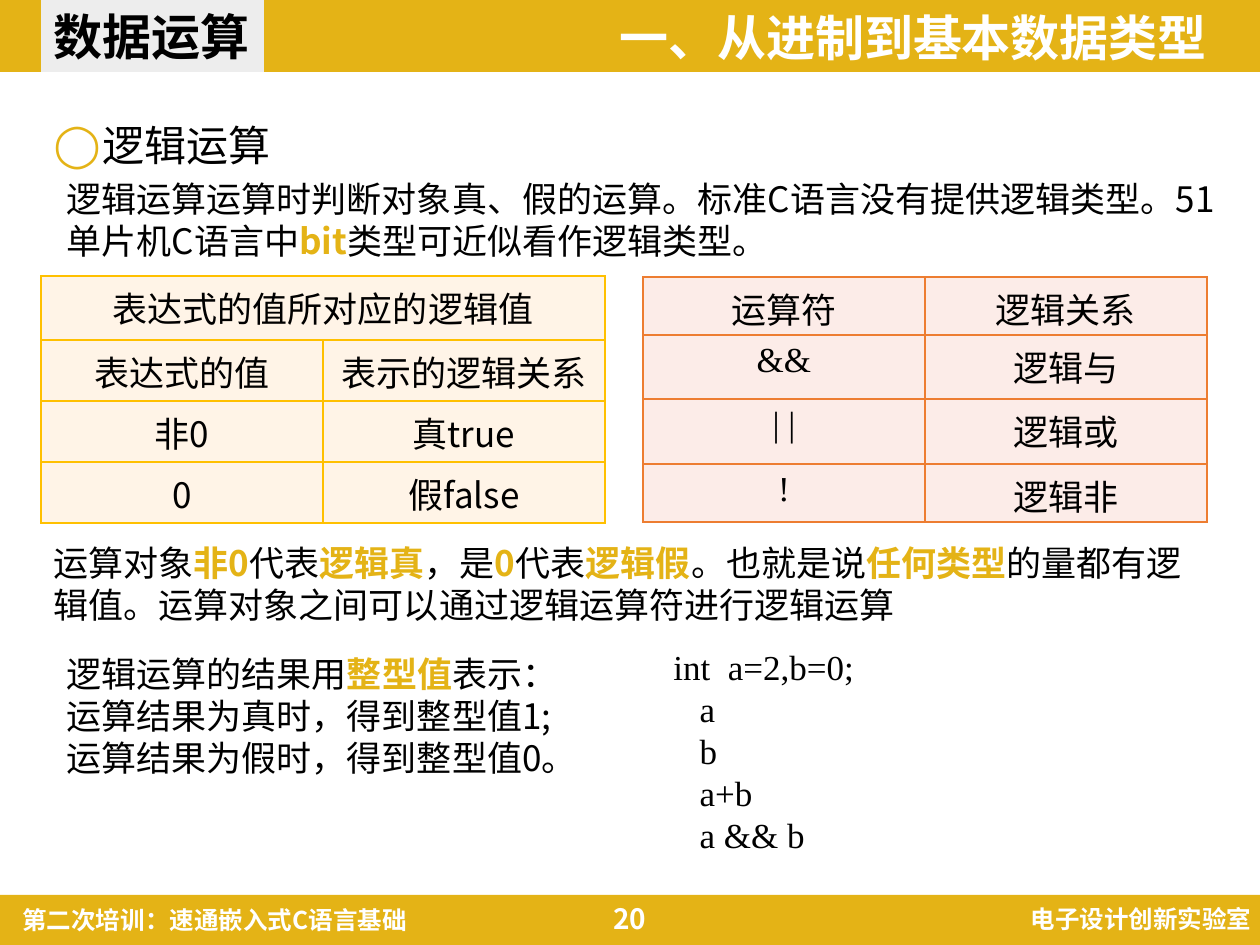
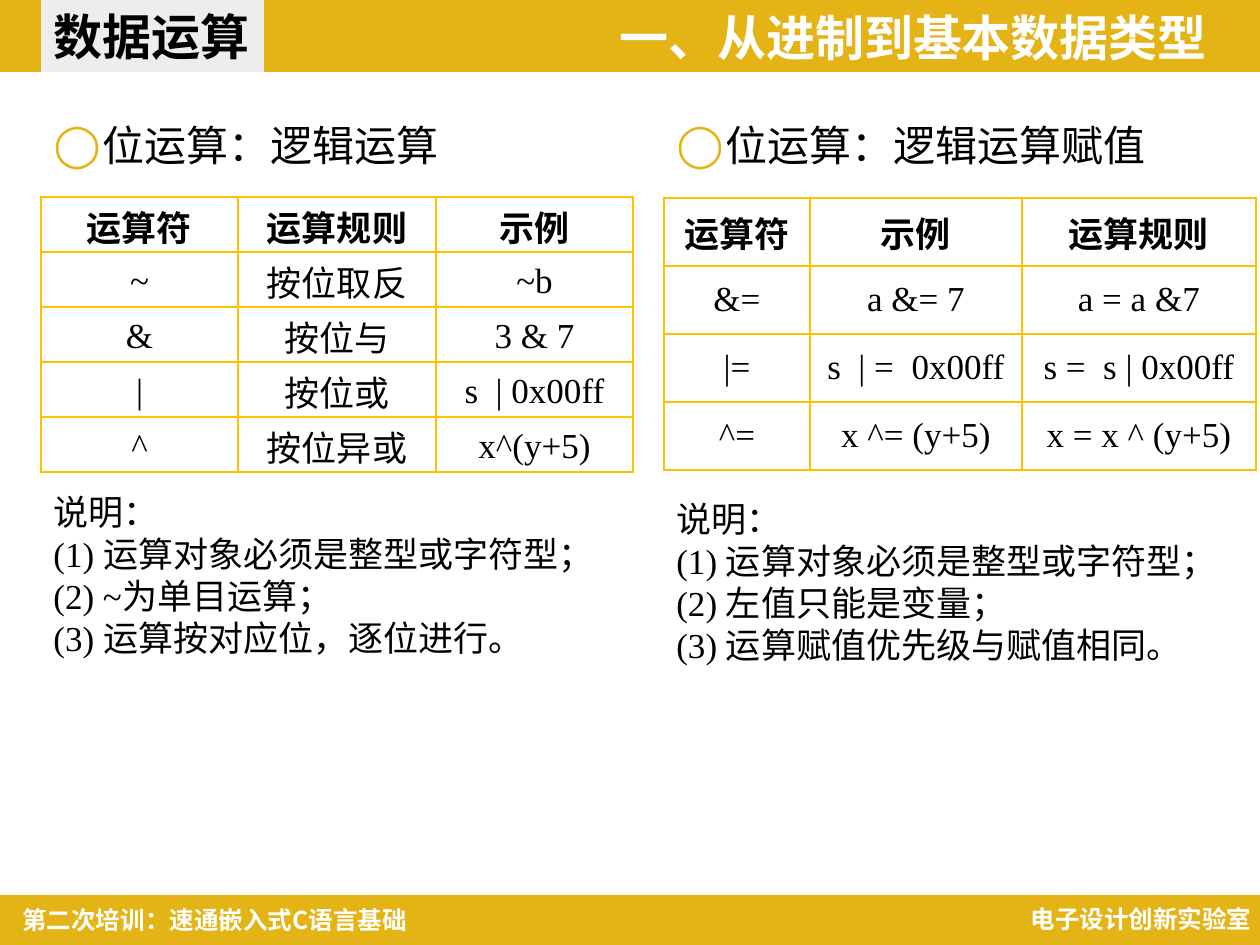
"""Builds two C language training slides on logical and bitwise operators."""
from dataclasses import dataclass
from itertools import cycle
from typing import NamedTuple

from lxml.etree import SubElement
from pptx import Presentation
from pptx.dml.color import RGBColor
from pptx.enum.shapes import MSO_SHAPE
from pptx.enum.text import MSO_ANCHOR, MSO_AUTO_SIZE, PP_ALIGN
from pptx.oxml.ns import qn
from pptx.util import Emu, Pt

COLORS = {
    "gold": "E4B316",
    "tab": "EDEDED",
    "black": "000000",
    "white": "FFFFFF",
    "amber": "FFC000",
    "cream": "FFF4E7",
    "orange": "ED7D31",
    "rose": "FCECE8",
}
SANS = "Noto Sans CJK SC"
SERIF = "Times New Roman"
EMU_PER_PX = 914400 / 126
HEADING_INDENT = 49


def px(length: int) -> Emu:
    return Emu(round(length * EMU_PER_PX))


def rgb(name: str) -> RGBColor:
    return RGBColor.from_string(COLORS[name])


class Area(NamedTuple):
    left: int
    top: int
    width: int
    height: int

    def emu(self) -> list[Emu]:
        return [px(length) for length in self]


@dataclass(frozen=True)
class TextStyle:
    size: int = 20
    font: str = SANS
    color: str = "black"
    bold: bool = False
    align: PP_ALIGN = PP_ALIGN.LEFT
    line_spacing: float | Pt | None = None


@dataclass(frozen=True)
class TextBlock:
    area: Area
    lines: list[str]
    style: TextStyle = TextStyle()
    anchor: MSO_ANCHOR = MSO_ANCHOR.TOP


@dataclass(frozen=True)
class Grid:
    left: int
    top: int
    columns: list[int]
    row_heights: list[int]
    rows: list[list[str]]
    border: str
    font: str = SERIF
    fill: str | None = None
    bold_header: bool = False
    anchor: MSO_ANCHOR = MSO_ANCHOR.TOP
    margin_top: int = 6
    margin_bottom: int = 0


NOTES = TextStyle(font=SERIF)
HEADING = TextStyle(24, SERIF, line_spacing=Pt(32))
TOPIC = TextStyle(28, bold=True)
SECTION = TextStyle(28, color="white", bold=True, align=PP_ALIGN.RIGHT, line_spacing=0.9)
FOOTER = TextStyle(14, color="white", bold=True)
FOOTER_RIGHT = TextStyle(14, color="white", bold=True, align=PP_ALIGN.RIGHT)
PAGE_NUMBER = TextStyle(16, color="white", bold=True, align=PP_ALIGN.CENTER)

BANDS = [Area(0, 0, 1260, 72), Area(0, 895, 1260, 50)]
TOPIC_AREA = Area(41, 0, 223, 72)
SHARED_TEXT = [
    TextBlock(Area(552, 8, 667, 58), ["一、从进制到基本数据类型"], SECTION),
    TextBlock(Area(10, 899, 503, 43), ["第二次培训：速通嵌入式C语言基础"], FOOTER),
    TextBlock(Area(868, 898, 396, 43), ["电子设计创新实验室"], FOOTER_RIGHT),
]

LOGIC_HEADINGS = [TextBlock(Area(41, 108, 1178, 72), ["逻辑运算"], HEADING)]
LOGIC_TEXT = [
    TextBlock(Area(552, 893, 155, 50), ["20"], PAGE_NUMBER, MSO_ANCHOR.MIDDLE),
    TextBlock(Area(54, 171, 1178, 98), [
        "逻辑运算运算时判断对象真、假的运算。标准C语言没有提供逻辑类型。"
        "51单片机C语言中*bit*类型可近似看作逻辑类型。"]),
    TextBlock(Area(41, 535, 1178, 97), [
        "运算对象*非0*代表*逻辑真*，是*0*代表*逻辑假*。也就是说*任何类型*的量都有"
        "逻辑值。运算对象之间可以通过逻辑运算符进行逻辑运算"]),
    TextBlock(Area(54, 646, 538, 140), [
        "逻辑运算的结果用*整型值*表示：",
        "运算结果为真时，得到整型值1;",
        "运算结果为假时，得到整型值0。"]),
    TextBlock(Area(661, 639, 207, 224), [
        "int  a=2,b=0;", "   a", "   b", "   a+b", "   a && b"], NOTES),
]
LOGIC_GRIDS = [
    Grid(41, 276, [282] * 2, [64, 61, 61, 61], [
        ["表达式的值所对应的逻辑值"],
        ["表达式的值", "表示的逻辑关系"],
        ["非0", "真true"],
        ["0", "假false"],
    ], "amber", SANS, "cream"),
    Grid(643, 277, [282] * 2, [58, 64, 65, 58], [
        ["运算符", "逻辑关系"],
        ["&&", "逻辑与"],
        ["| |", "逻辑或"],
        ["!", "逻辑非"],
    ], "orange", fill="rose"),
]

BITWISE_HEADINGS = [
    TextBlock(Area(41, 108, 622, 68), ["位运算：逻辑运算"], HEADING),
    TextBlock(Area(664, 108, 622, 68), ["位运算：逻辑运算赋值"], HEADING),
]
BITWISE_TEXT = [
    TextBlock(Area(41, 484, 582, 183), [
        "说明：",
        "(1) 运算对象必须是整型或字符型；",
        "(2) ~为单目运算；",
        "(3) 运算按对应位，逐位进行。"], NOTES),
    TextBlock(Area(664, 491, 592, 183), [
        "说明：",
        "(1) 运算对象必须是整型或字符型；",
        "(2) 左值只能是变量；",
        "(3) 运算赋值优先级与赋值相同。"], NOTES),
]
BITWISE_GRIDS = [
    Grid(41, 197, [197, 198, 197], [55] * 5, [
        ["运算符", "运算规则", "示例"],
        ["~", "按位取反", "~b"],
        ["&", "按位与", "3 & 7"],
        ["|", "按位或", "s  | 0x00ff"],
        ["^", "按位异或", "x^(y+5)"],
    ], "amber", bold_header=True, anchor=MSO_ANCHOR.MIDDLE, margin_top=4),
    Grid(664, 198, [146, 212, 234], [68] * 4, [
        ["运算符", "示例", "运算规则"],
        ["&=", "a &= 7", "a = a &7"],
        ["|=", "s  | =  0x00ff", "s =  s | 0x00ff"],
        ["^=", "x ^= (y+5)", "x = x ^ (y+5)"],
    ], "amber", bold_header=True, anchor=MSO_ANCHOR.MIDDLE, margin_bottom=6),
]


def add_bullet(paragraph) -> None:
    properties = paragraph._p.get_or_add_pPr()
    properties.set("marL", str(px(HEADING_INDENT)))
    properties.set("indent", str(-px(HEADING_INDENT)))
    bullet_color = SubElement(properties, qn("a:buClr"))
    SubElement(bullet_color, qn("a:srgbClr"), val=COLORS["gold"])
    SubElement(properties, qn("a:buChar"), char="◯")


def write_paragraph(paragraph, text: str, style: TextStyle) -> None:
    """Write text, with the parts between asterisks in bold gold."""
    for part, emphasized in zip(text.split("*"), cycle([False, True])):
        run = paragraph.add_run()
        run.text = part
        if emphasized:
            run.font.bold = True
            run.font.color.rgb = rgb("gold")
    paragraph.alignment = style.align
    paragraph.space_before = Pt(0)
    if style.line_spacing:
        paragraph.line_spacing = style.line_spacing
    font = paragraph.font
    font.size = Pt(style.size)
    font.bold = style.bold
    font.color.rgb = rgb(style.color)
    font.name = style.font
    defaults = paragraph._p.pPr.find(qn("a:defRPr"))
    SubElement(defaults, qn("a:ea"), typeface=SANS)


def write_block(shape, block: TextBlock, bulleted: bool = False) -> None:
    shape.left, shape.top, shape.width, shape.height = block.area.emu()
    frame = shape.text_frame
    frame.word_wrap = True
    frame.auto_size = MSO_AUTO_SIZE.NONE
    frame.vertical_anchor = block.anchor
    for index, line in enumerate(block.lines):
        paragraph = frame.add_paragraph() if index else frame.paragraphs[0]
        if bulleted:
            add_bullet(paragraph)
        write_paragraph(paragraph, line, block.style)


def add_text(slide, block: TextBlock) -> None:
    write_block(slide.shapes.add_textbox(*block.area.emu()), block)


def add_band(slide, area: Area) -> None:
    band = slide.shapes.add_shape(MSO_SHAPE.RECTANGLE, *area.emu())
    band.shadow.inherit = False
    band.fill.solid()
    band.fill.fore_color.rgb = rgb("gold")
    band.line.fill.background()


def format_cell(cell, grid: Grid) -> None:
    properties = cell._tc.get_or_add_tcPr()
    for side in ("lnL", "lnR", "lnT", "lnB"):
        line = SubElement(properties, qn(f"a:{side}"), w=str(Pt(1)))
        fill = SubElement(line, qn("a:solidFill"))
        SubElement(fill, qn("a:srgbClr"), val=COLORS[grid.border])
    cell.vertical_anchor = grid.anchor
    cell.margin_top = px(grid.margin_top)
    cell.margin_bottom = px(grid.margin_bottom)
    if grid.fill:
        cell.fill.solid()
        cell.fill.fore_color.rgb = rgb(grid.fill)
    else:
        cell.fill.background()


def add_grid(slide, grid: Grid) -> None:
    area = Area(grid.left, grid.top, sum(grid.columns), sum(grid.row_heights))
    frame = slide.shapes.add_table(len(grid.rows), len(grid.columns), *area.emu())
    table = frame.table
    table.first_row = table.horz_banding = False
    for column, width in zip(table.columns, grid.columns):
        column.width = px(width)
    for row, height in zip(table.rows, grid.row_heights):
        row.height = px(height)
    for cell in table.iter_cells():
        format_cell(cell, grid)
    for row_index, texts in enumerate(grid.rows):
        bold = grid.bold_header and row_index == 0
        style = TextStyle(font=grid.font, bold=bold, align=PP_ALIGN.CENTER)
        if len(texts) == 1:
            last_cell = table.cell(row_index, len(grid.columns) - 1)
            table.cell(row_index, 0).merge(last_cell)
        for column_index, text in enumerate(texts):
            cell = table.cell(row_index, column_index)
            write_paragraph(cell.text_frame.paragraphs[0], text, style)


def add_slide(presentation, layout_index: int, headings: list[TextBlock],
              texts: list[TextBlock], grids: list[Grid]) -> None:
    slide = presentation.slides.add_slide(presentation.slide_layouts[layout_index])
    for area in BANDS:
        add_band(slide, area)
    title, *bodies = list(slide.placeholders)[:len(headings) + 1]
    for placeholder in list(slide.placeholders):
        if placeholder.placeholder_format.idx > len(headings):
            placeholder.element.getparent().remove(placeholder.element)
        else:
            slide.shapes.element.append(placeholder.element)
    write_block(title, TextBlock(TOPIC_AREA, ["数据运算"], TOPIC, MSO_ANCHOR.MIDDLE))
    title.text_frame.word_wrap = False
    title.fill.solid()
    title.fill.fore_color.rgb = rgb("tab")
    for body, heading in zip(bodies, headings):
        write_block(body, heading, bulleted=True)
    for block in SHARED_TEXT + texts:
        add_text(slide, block)
    for grid in grids:
        add_grid(slide, grid)


def main() -> None:
    presentation = Presentation()
    presentation.slide_width, presentation.slide_height = px(1260), px(945)
    add_slide(presentation, 1, LOGIC_HEADINGS, LOGIC_TEXT, LOGIC_GRIDS)
    add_slide(presentation, 3, BITWISE_HEADINGS, BITWISE_TEXT, BITWISE_GRIDS)
    presentation.save("out.pptx")


if __name__ == "__main__":
    main()
